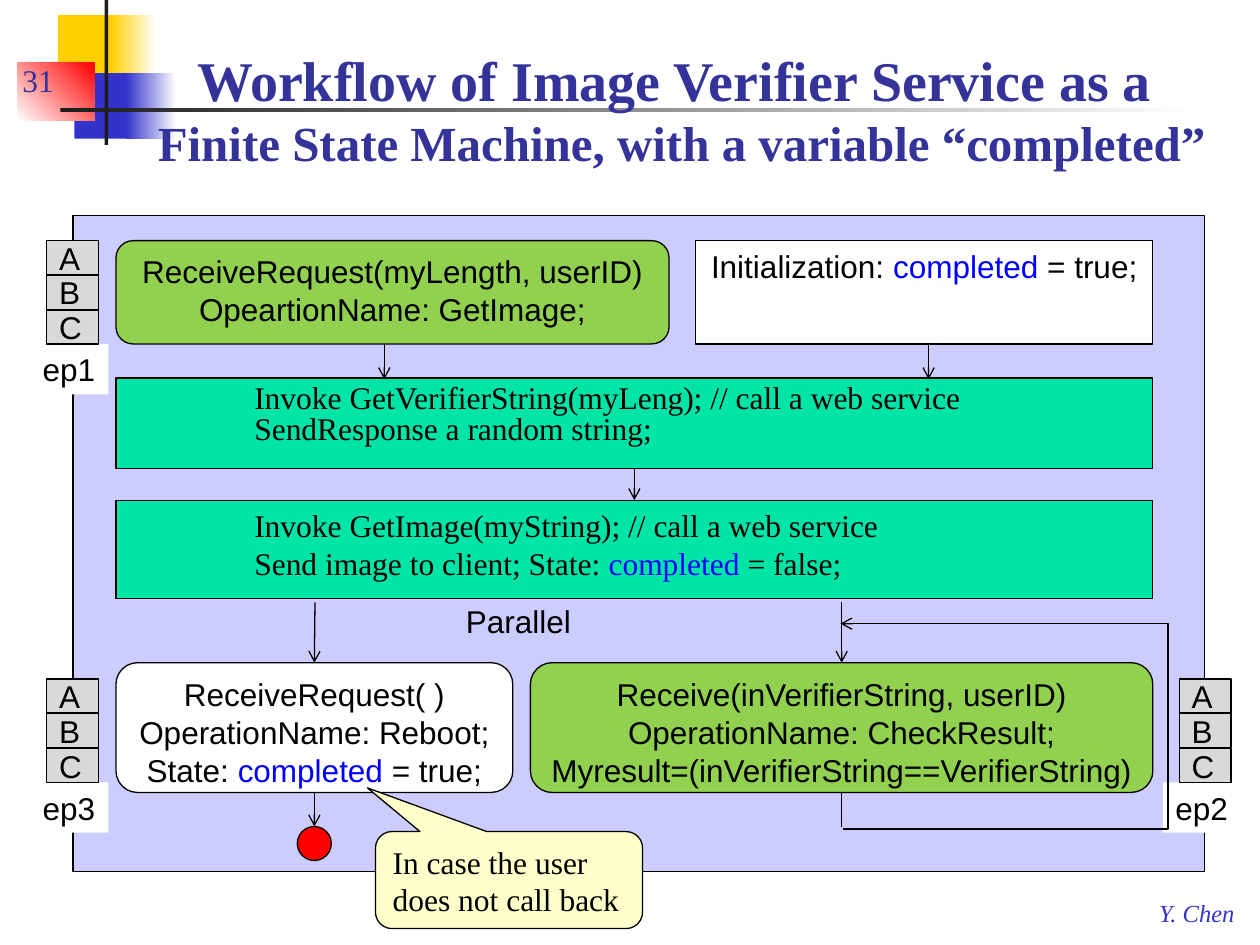
from lxml import etree
from pptx import Presentation
from pptx import util as u
from pptx.dml.color import RGBColor
from pptx.enum import shapes, text
from pptx.oxml import ns

BLACK = RGBColor(0x00, 0x00, 0x00)
CHARCOAL = RGBColor(0x1C, 0x1C, 0x1C)
WHITE = RGBColor(0xFF, 0xFF, 0xFF)
GREY = RGBColor(0xD9, 0xD9, 0xD9)
YELLOW = RGBColor(0xFF, 0xCF, 0x01)
CREAM = RGBColor(0xFF, 0xFF, 0xCC)
RED = RGBColor(0xFF, 0x00, 0x00)
BLUE = RGBColor(0x00, 0x00, 0xFF)
ROYAL = RGBColor(0x33, 0x33, 0xCC)
NAVY = RGBColor(0x33, 0x33, 0x99)
LAVENDER = RGBColor(0xCC, 0xCC, 0xFF)
MINT = RGBColor(0x00, 0xE4, 0xA8)
GREEN = RGBColor(0x92, 0xD0, 0x50)

SANS, SERIF = "Arial", "Times New Roman"
KIND = shapes.MSO_SHAPE
LEFT, CENTER = text.PP_ALIGN.LEFT, text.PP_ALIGN.CENTER
TOP, MIDDLE, BOTTOM = (text.MSO_ANCHOR.TOP, text.MSO_ANCHOR.MIDDLE,
                       text.MSO_ANCHOR.BOTTOM)
SITE_TOP, SITE_BOTTOM = 0, 2
VARIABLE = "completed"


class Sketch:
    """Holds the slide and the shared style; one method per kind of element."""

    def __init__(self, slide):
        self.slide = slide
        self.line_width = u.Pt(0.75)
        self.text_size = 18

    def span(self, para, words, font=SANS, size=None, color=BLACK, bold=None, italic=None):
        span = para.add_run()
        span.text = words
        span.font.name = font
        span.font.size = u.Pt(size or self.text_size)
        span.font.color.rgb = color
        span.font.bold, span.font.italic = bold, italic

    def paragraphs(self, frame, lines, font=SANS, align=LEFT, anchor=TOP, wrap=True,
                   spacing=None, before=None, **style):
        """Add one paragraph per line, with the state variable in blue."""
        frame.word_wrap = wrap
        frame.vertical_anchor = anchor
        for index, line in enumerate(lines):
            para = frame.add_paragraph() if index else frame.paragraphs[0]
            para.alignment = align
            para.line_spacing, para.space_before = spacing, before
            head, variable, tail = line.partition(VARIABLE)
            self.span(para, head, font, **style)
            if variable:
                self.span(para, variable, font, color=BLUE)
                self.span(para, tail, font, **style)

    def title(self, first, second):
        title = self.slide.shapes.title
        title.left, title.top, title.width, title.height = map(
            u.Inches, (0.99, 0.29, 8.84, 1.12))
        # Bring the title in front of the decoration
        title._element.getparent().append(title._element)
        frame = title.text_frame
        frame.auto_size = text.MSO_AUTO_SIZE.NONE
        frame.vertical_anchor = BOTTOM
        para = frame.paragraphs[0]
        para.alignment = CENTER
        self.span(para, first, SERIF, 32, NAVY, True)
        para.add_line_break()
        self.span(para, second, SERIF, 28, NAVY, True)

    def box(self, at, fill, lines=(), kind=KIND.RECTANGLE, outline=True, parent=None, **style):
        box = (parent or self.slide).shapes.add_shape(kind, *map(u.Inches, at))
        box.shadow.inherit = False
        box.fill.solid()
        box.fill.fore_color.rgb = fill
        if outline:
            box.line.color.rgb = BLACK
            box.line.width = self.line_width
        else:
            box.line.fill.background()
        if lines:
            self.paragraphs(box.text_frame, lines, **style)
        return box

    def fade(self, at, start, end, angle=0):
        box = self.box(at, start, outline=False)
        box.fill.gradient()
        box.fill.gradient_angle = angle
        for stop, color, position in zip(box.fill.gradient_stops, (start, end), (0, 1)):
            stop.color.rgb = color
            stop.position = position

    def label(self, at, lines, **style):
        label = self.slide.shapes.add_textbox(*map(u.Inches, at))
        self.paragraphs(label.text_frame, lines, **style)

    def arrowhead(self, line):
        etree.SubElement(line.line._get_or_add_ln(), ns.qn("a:tailEnd"), type="arrow")

    def arrow(self, x, top, bottom, source=None, target=None, head=True):
        line = self.slide.shapes.add_connector(
            shapes.MSO_CONNECTOR.STRAIGHT, *map(u.Inches, (x, top, x, bottom)))
        if source:
            line.begin_connect(source, SITE_BOTTOM)
        if target:
            line.end_connect(target, SITE_TOP)
        line.line.color.rgb = BLACK
        line.line.width = self.line_width
        if head:
            self.arrowhead(line)
        etree.SubElement(line._element.spPr, ns.qn("a:effectLst"))

    def loop(self, points):
        points = [tuple(map(u.Inches, point)) for point in points]
        builder = self.slide.shapes.build_freeform(*points[0])
        builder.add_line_segments(points[1:], close=False)
        loop = builder.convert_to_shape()
        loop.shadow.inherit = False
        loop.fill.background()
        loop.line.color.rgb = BLACK
        loop.line.width = self.line_width
        self.arrowhead(loop)

    def endpoint(self, name, left, top):
        """A stack of ports A, B, C with the name of the endpoint below."""
        self.box((left - 0.13, top + 0.82, 0.62, 0.4), WHITE, [name],
                 outline=False, wrap=False)
        group = self.slide.shapes.add_group_shape()
        for row, port in enumerate("ABC"):
            self.box((left, top + row * 0.275, 0.41, 0.27), GREY, [port],
                     parent=group, anchor=MIDDLE)


def main():
    deck = Presentation()
    deck.slide_width, deck.slide_height = u.Inches(10), u.Inches(7.5)
    page = deck.slides.add_slide(deck.slide_layouts[5])
    sketch = Sketch(page)

    # Corner decoration and title rule
    sketch.box((0.46, 0.12, 0.48, 0.52), YELLOW, outline=False)
    sketch.fade((0.88, 0.12, 0.36, 0.52), YELLOW, WHITE)
    sketch.box((0.59, 0.58, 0.46, 0.52), ROYAL, outline=False)
    sketch.fade((1, 0.58, 0.4, 0.52), ROYAL, WHITE)
    sketch.fade((0.14, 0.5, 0.61, 0.46), WHITE, RED, angle=45)
    sketch.box((0.83, 0, 0.03, 1.15), CHARCOAL, outline=False)
    sketch.fade((0.48, 0.86, 9, 0.03), CHARCOAL, WHITE)

    # Author, title and page number
    sketch.label((9.1, 7.08, 0.82, 0.33), ["Y. Chen"], font=SERIF, size=14,
                 color=ROYAL, italic=True, wrap=False)
    sketch.title("Workflow of Image Verifier Service as a ",
                 "Finite State Machine, with a variable “completed”")
    sketch.label((0.08, 0.33, 0.78, 0.5), ["31"], font=SERIF, color=NAVY, anchor=BOTTOM)

    # Workflow states
    sketch.box((0.58, 1.71, 8.98, 5.21), LAVENDER)
    verify = sketch.box((0.92, 3, 8.23, 0.72), MINT, [
        "\t\tInvoke GetVerifierString(myLeng); // call a web service",
        "\t\tSendResponse a random string;"], font=SERIF, spacing=u.Pt(18))
    image = sketch.box((0.92, 3.97, 8.23, 0.78), MINT, [
        "\t\tInvoke GetImage(myString); // call a web service",
        "\t\tSend image to client; State: completed = false;"], font=SERIF)
    reboot = sketch.box((0.92, 5.26, 3.15, 1.03), WHITE, [
        "ReceiveRequest( )", "OperationName: Reboot;", "State: completed = true;"],
        kind=KIND.ROUNDED_RECTANGLE, align=CENTER)
    check = sketch.box((4.21, 5.26, 4.94, 1.03), GREEN, [
        "Receive(inVerifierString, userID)", "OperationName: CheckResult;",
        "Myresult=(inVerifierString==VerifierString)"],
        kind=KIND.ROUNDED_RECTANGLE, align=CENTER)
    stop = sketch.box((2.36, 6.56, 0.27, 0.27), RED, kind=KIND.OVAL)

    # Endpoints on the border
    sketch.endpoint("ep3", 0.37, 5.39)
    sketch.endpoint("ep2", 9.36, 5.39)
    sketch.endpoint("ep1", 0.37, 1.91)

    # Transitions
    for x in (3.05, 7.37):
        sketch.arrow(x, 2.67, 3.01)
    sketch.arrow(5.04, 3.72, 3.97, verify, image)
    sketch.arrow(2.5, 4.78, 5.26, target=reboot)
    sketch.arrow(6.68, 4.78, 5.26, target=check)
    sketch.arrow(2.5, 6.29, 6.56, reboot, stop)
    sketch.arrow(6.68, 6.29, 6.56, check, head=False)
    sketch.loop([(6.69, 6.58), (9.27, 6.58), (9.27, 4.95), (6.67, 4.95)])
    sketch.label((3.6, 4.73, 1.04, 0.4), ["Parallel"], wrap=False)

    # Starting states, in front of their arrows
    sketch.box((0.92, 1.91, 4.39, 0.82), GREEN, [
        "ReceiveRequest(myLength, userID)", "OpeartionName: GetImage;"],
        kind=KIND.ROUNDED_RECTANGLE, align=CENTER)
    sketch.box((5.52, 1.91, 3.63, 0.82), WHITE, ["Initialization: completed = true;"],
               align=CENTER, before=u.Pt(12))

    # Remark on the reboot state
    remark = sketch.box((2.98, 6.6, 2.12, 0.77), CREAM,
                        ["In case the user does not call back"],
                        kind=KIND.ROUNDED_RECTANGULAR_CALLOUT, font=SERIF)
    for index, value in enumerate((-0.53, -0.95, 0.17)):
        remark.adjustments[index] = value

    deck.save("out.pptx")


if __name__ == "__main__":
    main()
